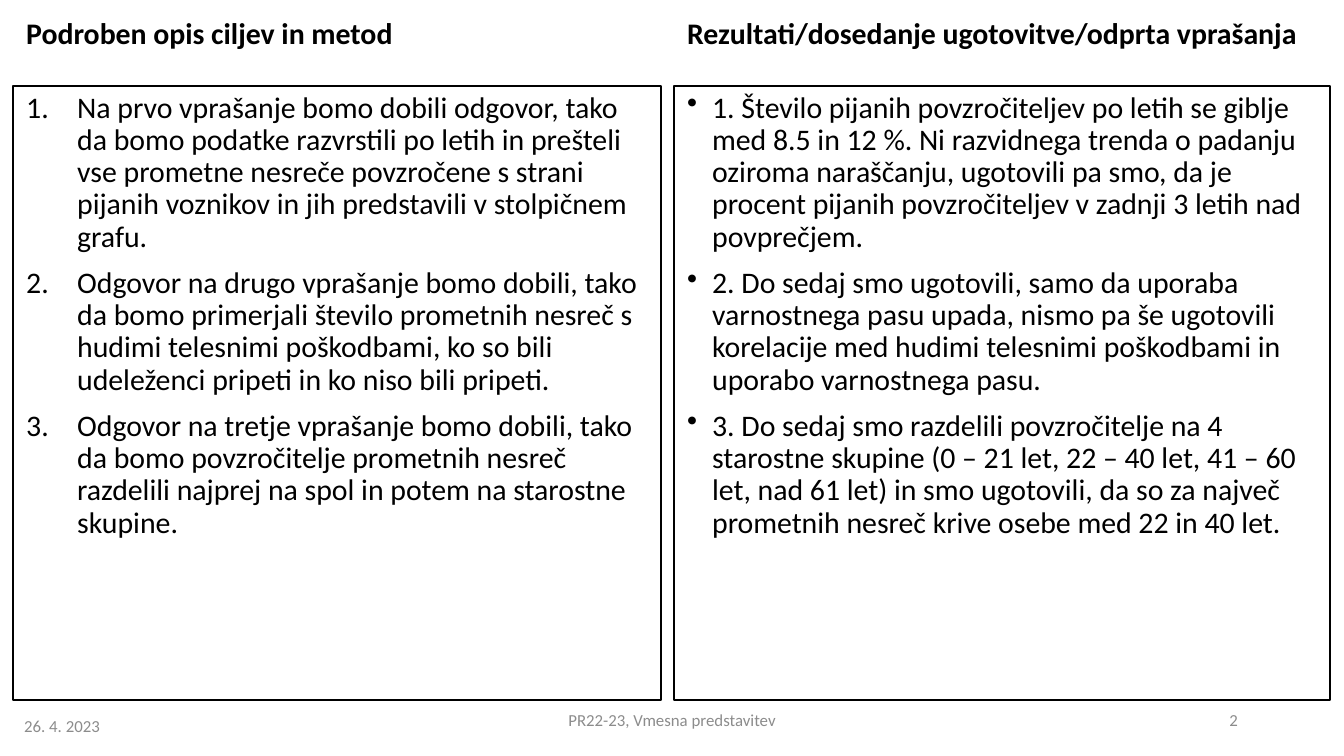
"""Build a two-column slide comparing goals and methods with results so far."""
from lxml.etree import SubElement
from pptx import Presentation
from pptx.dml.color import RGBColor
from pptx.enum.text import MSO_ANCHOR as Anchor, PP_ALIGN as Align
from pptx.oxml.ns import qn
from pptx.util import Pt

PX = 914400 / 134.4
BLACK, GREY = "000000", "8C8C8C"


def px(n):
    return round(n * PX)


def add_text(box, lines, size, color, bold=False, align=Align.LEFT):
    shape = slide.shapes.add_textbox(*map(px, box))
    frame = shape.text_frame
    frame.word_wrap = True
    frame.text = "\n".join(lines)
    for para in frame.paragraphs:
        para.alignment = align
        font = para.font
        font.name, font.size, font.bold = "Calibri", Pt(size), bold
        font.color.rgb = RGBColor.from_string(color)
        if size == 16:
            para.line_spacing = 0.9
            para.space_before = Pt(7.5)
    return shape


deck = Presentation()
deck.slide_width, deck.slide_height = px(1344), px(756)
slide = deck.slides.add_slide(deck.slide_layouts[6])

columns = [
    (13, 648, "Podroben opis ciljev in metod", 51, "buAutoNum", {"type": "arabicPeriod"}, [
        "Na prvo vprašanje bomo dobili odgovor, tako da bomo podatke razvrstili po letih in prešteli "
        "vse prometne nesreče povzročene s strani pijanih voznikov in jih predstavili v stolpičnem grafu.",
        "Odgovor na drugo vprašanje bomo dobili, tako da bomo primerjali število prometnih nesreč s "
        "hudimi telesnimi poškodbami, ko so bili udeleženci pripeti in ko niso bili pripeti.",
        "Odgovor na tretje vprašanje bomo dobili, tako da bomo povzročitelje prometnih nesreč "
        "razdelili najprej na spol in potem na starostne skupine.",
    ]),
    (674, 656, "Rezultati/dosedanje ugotovitve/odprta vprašanja", 25, "buChar", {"char": "•"}, [
        "1. Število pijanih povzročiteljev po letih se giblje med 8.5 in 12 %. Ni razvidnega trenda o "
        "padanju oziroma naraščanju, ugotovili pa smo, da je procent pijanih povzročiteljev v zadnji 3 "
        "letih nad povprečjem.",
        "2. Do sedaj smo ugotovili, samo da uporaba varnostnega pasu upada, nismo pa še ugotovili "
        "korelacije med hudimi telesnimi poškodbami in uporabo varnostnega pasu.",
        "3. Do sedaj smo razdelili povzročitelje na 4 starostne skupine (0 – 21 let, 22 – 40 let, "
        "41 – 60 let, nad 61 let) in smo ugotovili, da so za največ prometnih nesreč krive osebe med "
        "22 in 40 let.",
    ]),
]
for left, width, title, indent, tag, mark, items in columns:
    add_text((left, 12, width, 55), [title], 16, BLACK, bold=True)
    body = add_text((left, 86, width, 614), items, 16, BLACK)
    body.line.color.rgb = RGBColor.from_string(BLACK)
    body.line.width = Pt(0.75)
    for para in body.text_frame.paragraphs:
        props = para._p.get_or_add_pPr()
        props.set("marL", str(px(indent)))
        props.set("indent", str(-px(indent)))
        bullet = SubElement(props, qn("a:" + tag), mark)
        props.remove(bullet)
        props.insert_element_before(bullet, "a:tabLst", "a:defRPr", "a:extLst")

footers = [
    ((11, 706, 552, 40), "26. 4. 2023", Align.LEFT),
    ((445, 700, 454, 40), "PR22-23, Vmesna predstavitev", Align.CENTER),
    ((949, 700, 302, 40), "2", Align.RIGHT),
]
for box, text, align in footers:
    foot = add_text(box, [text], 9, GREY, align=align)
    foot.text_frame.vertical_anchor = Anchor.MIDDLE

deck.save("out.pptx")
